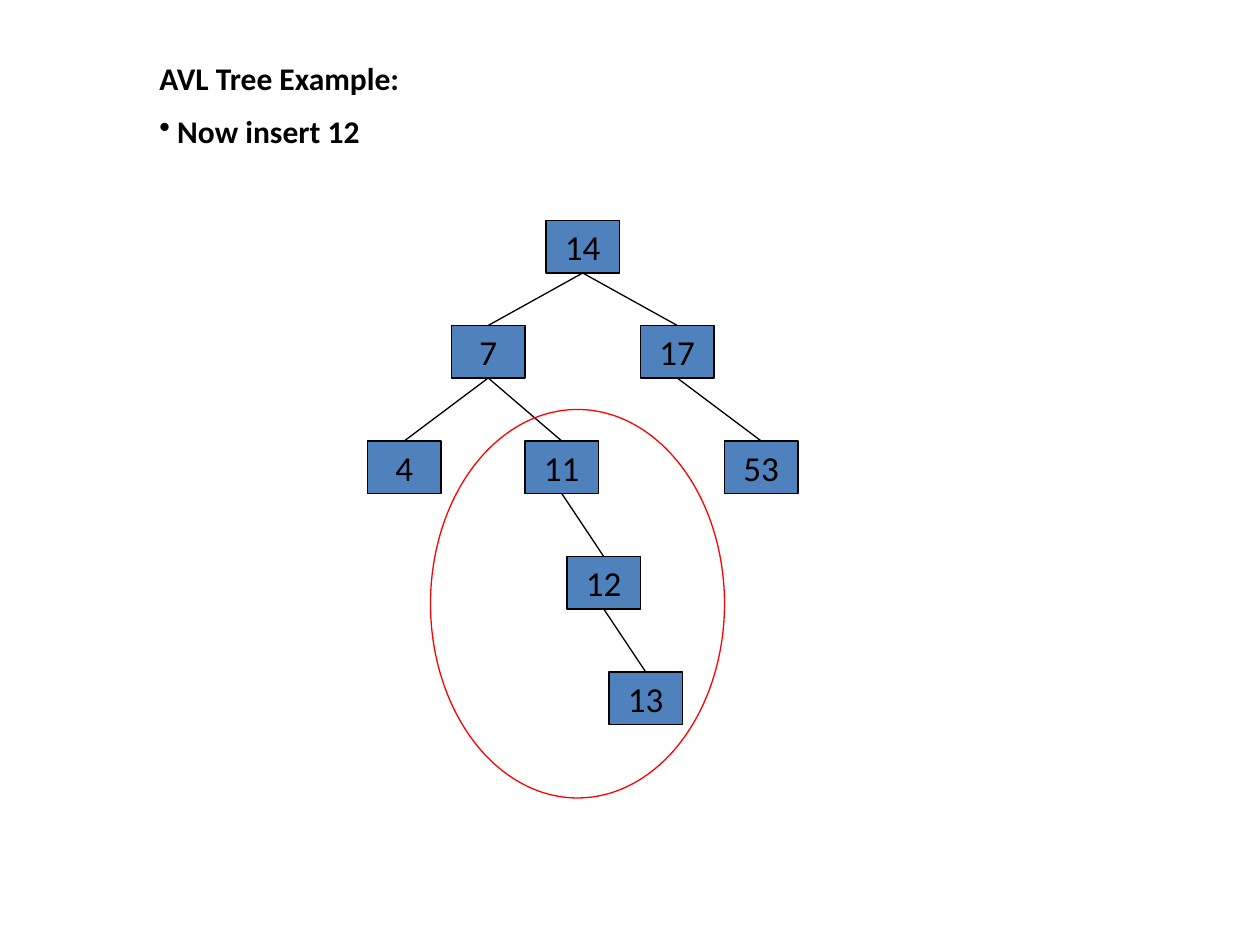
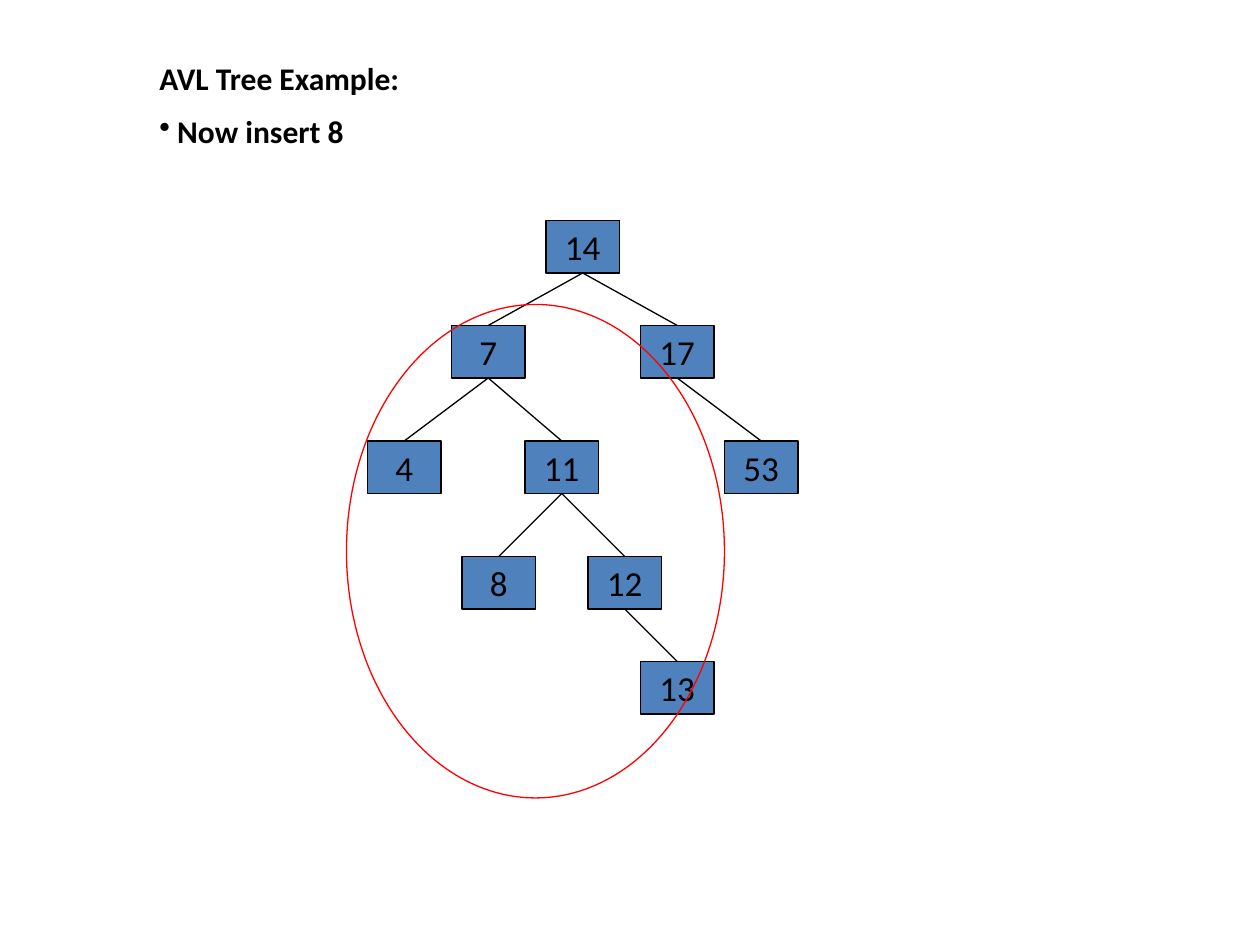
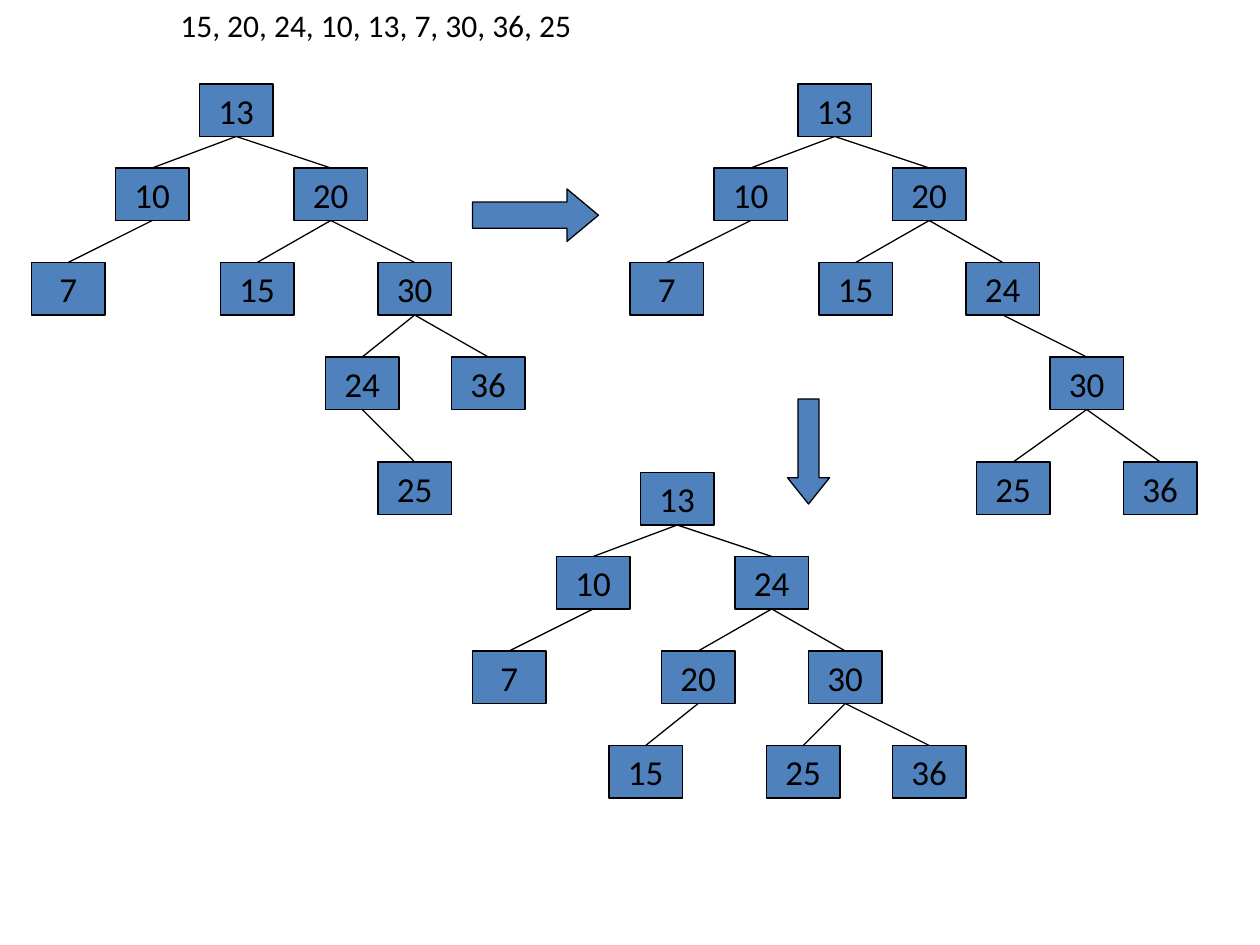
from dataclasses import dataclass

from lxml.etree import SubElement
from pptx import Presentation
from pptx.dml.color import RGBColor
from pptx.enum.shapes import MSO_CONNECTOR as Link, MSO_SHAPE as Preset
from pptx.enum.text import MSO_ANCHOR as Anchor, MSO_AUTO_SIZE as AutoSize, PP_ALIGN as Align
from pptx.oxml.ns import qn
from pptx.shapes.autoshape import Shape
from pptx.slide import Slide
from pptx.text.text import TextFrame
from pptx.util import Emu, Pt

EMU_PER_PX = 914400 // 120
SLIDE_W, SLIDE_H = 1200, 900
NODE_W, NODE_H = 70, 50
TOP_SITE, BOTTOM_SITE = 0, 2


@dataclass(frozen=True)
class Theme:
    font: str = "Calibri"
    ink: RGBColor = RGBColor(0x00, 0x00, 0x00)
    node_fill: RGBColor = RGBColor(0x4F, 0x81, 0xBD)
    highlight: RGBColor = RGBColor(0xFF, 0x00, 0x00)
    heading_size: int = 18
    node_size: int = 20
    line_width: float = 0.75
    heading_gap: int = 9


@dataclass(frozen=True)
class Box:
    left: int
    top: int
    width: int
    height: int


@dataclass(frozen=True)
class Node:
    """A key, its offset from the root, and the key of its parent."""
    key: int
    dx: int = 0
    dy: int = 0
    parent: int | None = None


@dataclass(frozen=True)
class Tree:
    root_left: int
    root_top: int
    nodes: tuple[Node, ...]


@dataclass(frozen=True)
class Line:
    text: str
    bold: bool = False
    bullet: bool = False
    indent: int = 0


@dataclass(frozen=True)
class Arrow:
    preset: Preset
    box: Box
    head_ratio: float


@dataclass(frozen=True)
class InsertStep:
    key: int
    new_nodes: tuple[Node, ...]
    unbalanced_area: Box


THEME = Theme()
HEADING_BOX = Box(140, 50, 940, 102)
KEYS_BOX = Box(100, 0, 980, 48)
BULLET_INDENT = 17

EXAMPLE_ROOT = (520, 210)
EXAMPLE_BASE = (
    Node(14), Node(7, -90, 100, 14), Node(17, 90, 100, 14),
    Node(4, -170, 210, 7), Node(11, -20, 210, 7), Node(53, 170, 210, 17),
)
INSERT_STEPS = (
    InsertStep(12, (Node(12, 20, 320, 11), Node(13, 60, 430, 12)), Box(410, 390, 280, 370)),
    InsertStep(
        8,
        (Node(8, -80, 320, 11), Node(12, 40, 320, 11), Node(13, 90, 420, 12)),
        Box(330, 290, 360, 470),
    ),
)

ROTATION_BASE = (Node(13), Node(10, -80, 80, 13), Node(7, -160, 170, 10))
ROTATION_TREES = (
    Tree(190, 80, ROTATION_BASE + (
        Node(20, 90, 80, 13), Node(15, 20, 170, 20), Node(30, 170, 170, 20),
        Node(24, 120, 260, 30), Node(36, 240, 260, 30), Node(25, 170, 360, 24),
    )),
    Tree(760, 80, ROTATION_BASE + (
        Node(20, 90, 80, 13), Node(15, 20, 170, 20), Node(24, 160, 170, 20),
        Node(30, 240, 260, 24), Node(25, 170, 360, 30), Node(36, 310, 360, 30),
    )),
    Tree(610, 450, ROTATION_BASE + (
        Node(24, 90, 80, 13), Node(20, 20, 170, 24), Node(30, 160, 170, 24),
        Node(15, -30, 260, 20), Node(25, 120, 260, 30), Node(36, 240, 260, 30),
    )),
)
ROTATION_ARROWS = (
    Arrow(Preset.RIGHT_ARROW, Box(450, 180, 120, 50), 0.6),
    Arrow(Preset.DOWN_ARROW, Box(750, 380, 40, 100), 0.625),
)


def px(length: int) -> Emu:
    return Emu(length * EMU_PER_PX)


def emu_box(box: Box) -> tuple[Emu, ...]:
    return px(box.left), px(box.top), px(box.width), px(box.height)


def add_run(paragraph, text: str, size: int, bold: bool = False) -> None:
    run = paragraph.add_run()
    run.text = text
    run.font.name = THEME.font
    run.font.size = Pt(size)
    run.font.bold = bold
    run.font.color.rgb = THEME.ink


def add_outlined(slide: Slide, preset: Preset, box: Box,
                 outline: RGBColor, fill: RGBColor | None = None) -> Shape:
    shape = slide.shapes.add_shape(preset, *emu_box(box))
    shape.shadow.inherit = False
    if fill is None:
        shape.fill.background()
    else:
        shape.fill.solid()
        shape.fill.fore_color.rgb = fill
    shape.line.color.rgb = outline
    shape.line.width = Pt(THEME.line_width)
    return shape


def add_node(slide: Slide, key: int, left: int, top: int) -> Shape:
    shape = add_outlined(slide, Preset.RECTANGLE, Box(left, top, NODE_W, NODE_H),
                         THEME.ink, THEME.node_fill)
    frame: TextFrame = shape.text_frame
    frame.word_wrap = False
    frame.vertical_anchor = Anchor.MIDDLE
    paragraph = frame.paragraphs[0]
    paragraph.alignment = Align.CENTER
    add_run(paragraph, str(key), THEME.node_size)
    return shape


def add_edge(slide: Slide, parent: Shape, child: Shape) -> None:
    edge = slide.shapes.add_connector(Link.STRAIGHT, 0, 0, 0, 0)
    edge.begin_connect(parent, BOTTOM_SITE)
    edge.end_connect(child, TOP_SITE)
    edge.line.color.rgb = THEME.ink
    edge.line.width = Pt(THEME.line_width)
    SubElement(edge._element.spPr, qn("a:effectLst"))


def add_tree(slide: Slide, tree: Tree) -> None:
    """Draw the nodes, parents first, each joined to its parent."""
    drawn: dict[int, Shape] = {}
    for node in tree.nodes:
        drawn[node.key] = add_node(slide, node.key,
                                   tree.root_left + node.dx, tree.root_top + node.dy)
        if node.parent is not None:
            add_edge(slide, drawn[node.parent], drawn[node.key])


def add_lines(slide: Slide, box: Box, lines: tuple[Line, ...]) -> None:
    frame = slide.shapes.add_textbox(*emu_box(box)).text_frame
    frame.word_wrap = True
    frame.auto_size = AutoSize.SHAPE_TO_FIT_TEXT
    for index, line in enumerate(lines):
        paragraph = frame.add_paragraph() if index else frame.paragraphs[0]
        if index:
            paragraph.space_before = Pt(THEME.heading_gap)
        properties = paragraph._p.get_or_add_pPr()
        properties.set("marL", str(px(line.indent)))
        properties.set("indent", str(px(-line.indent if line.bullet else 0)))
        if line.bullet:
            SubElement(properties, qn("a:buChar"), char="•")
        add_run(paragraph, line.text, THEME.heading_size, line.bold)


def add_arrow(slide: Slide, arrow: Arrow) -> None:
    shape = add_outlined(slide, arrow.preset, arrow.box, THEME.ink, THEME.node_fill)
    shape.adjustments[0] = 0.5
    shape.adjustments[1] = arrow.head_ratio


def build_insert_slide(slide: Slide, step: InsertStep) -> None:
    add_lines(slide, HEADING_BOX, (
        Line("AVL Tree Example:", bold=True),
        Line(f"Now insert {step.key}", bold=True, bullet=True, indent=BULLET_INDENT),
    ))
    add_tree(slide, Tree(*EXAMPLE_ROOT, EXAMPLE_BASE + step.new_nodes))
    add_outlined(slide, Preset.OVAL, step.unbalanced_area, THEME.highlight)


def build_rotation_slide(slide: Slide) -> None:
    add_lines(slide, KEYS_BOX, (Line("15, 20, 24, 10, 13, 7, 30, 36, 25", indent=60),))
    for tree in ROTATION_TREES:
        add_tree(slide, tree)
    for arrow in ROTATION_ARROWS:
        add_arrow(slide, arrow)


def main() -> None:
    deck = Presentation()
    deck.slide_width, deck.slide_height = px(SLIDE_W), px(SLIDE_H)
    blank = deck.slide_layouts[6]
    for step in INSERT_STEPS:
        build_insert_slide(deck.slides.add_slide(blank), step)
    build_rotation_slide(deck.slides.add_slide(blank))
    deck.save("out.pptx")


if __name__ == "__main__":
    main()
